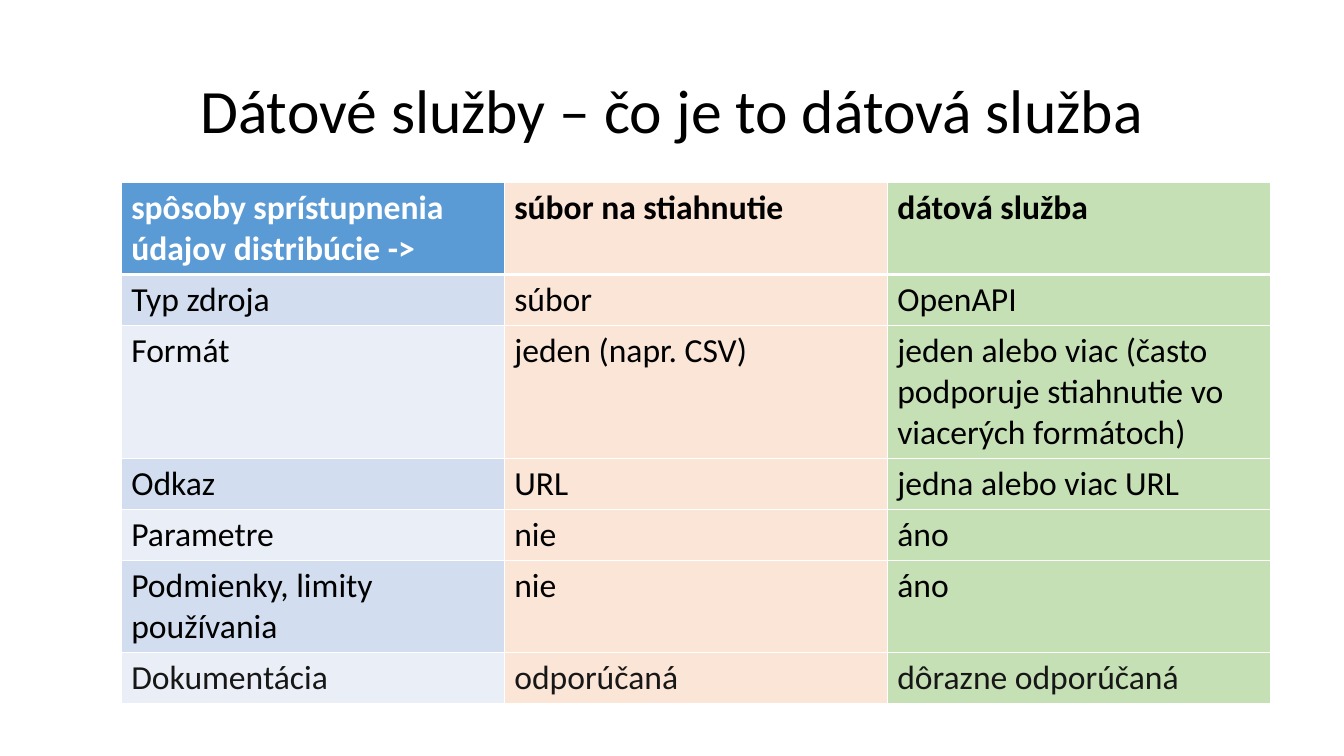
from dataclasses import dataclass

from lxml.etree import SubElement
from pptx import Presentation
from pptx.dml.color import RGBColor
from pptx.enum.text import MSO_ANCHOR, PP_ALIGN
from pptx.oxml.ns import qn
from pptx.util import Pt


@dataclass(frozen=True)
class Theme:
    font: str = "Calibri"
    title_size: int = 44
    table_size: int = 24
    line_height: float = 29.25
    cell_padding: float = 7.2
    text: str = "000000"
    soft_text: str = "181717"
    white: str = "FFFFFF"
    header: str = "5B9BD5"
    bands: tuple = ("D2DEEF", "EAEFF7")
    file_column: str = "FBE5D6"
    service_column: str = "C5E0B4"


class SlideBuilder:
    """Draws styled elements on the current slide."""

    def __init__(self, presentation, theme):
        self.theme = theme
        self.slide = presentation.slides.add_slide(presentation.slide_layouts[6])

    def style(self, paragraph, size, color, bold=False):
        font = paragraph.font
        font.name = self.theme.font
        font.size = Pt(size)
        font.bold = bold
        font.color.rgb = RGBColor.from_string(color)

    def title(self, text, left, top, width, height):
        box = self.slide.shapes.add_textbox(Pt(left), Pt(top), Pt(width), Pt(height))
        frame = box.text_frame
        frame.word_wrap = True
        frame.vertical_anchor = MSO_ANCHOR.MIDDLE
        paragraph = frame.paragraphs[0]
        paragraph.text = text
        paragraph.alignment = PP_ALIGN.CENTER
        paragraph.line_spacing = 0.9
        self.style(paragraph, self.theme.title_size, self.theme.text)

    def border(self, cell, side, width):
        properties = cell._tc.get_or_add_tcPr()
        line = SubElement(properties, qn(f"a:ln{side}"), w=str(Pt(width)))
        fill = SubElement(line, qn("a:solidFill"))
        SubElement(fill, qn("a:srgbClr"), val=self.theme.white)

    def cell(self, cell, text, fill, color, is_header, below_header):
        widths = {"L": 1, "R": 1, "T": 3 if below_header else 1, "B": 3 if is_header else 1}
        for side, width in widths.items():
            self.border(cell, side, width)
        cell.fill.solid()
        cell.fill.fore_color.rgb = RGBColor.from_string(fill)
        paragraph = cell.text_frame.paragraphs[0]
        paragraph.text = text
        self.style(paragraph, self.theme.table_size, color, is_header)

    def table(self, rows, line_counts, left, top, width):
        theme = self.theme
        heights = [theme.cell_padding + theme.line_height * count for count in line_counts]
        table = self.slide.shapes.add_table(
            len(rows), len(rows[0]), Pt(left), Pt(top), Pt(width), Pt(sum(heights))
        ).table
        for column in table.columns:
            column.width = Pt(width / len(rows[0]))
        for row_index, (texts, height) in enumerate(zip(rows, heights)):
            table.rows[row_index].height = Pt(height)
            is_header = row_index == 0
            label_fill = theme.header if is_header else theme.bands[(row_index - 1) % 2]
            fills = (label_fill, theme.file_column, theme.service_column)
            color = theme.soft_text if row_index == len(rows) - 1 else theme.text
            for column_index, (text, fill) in enumerate(zip(texts, fills)):
                cell_color = theme.white if is_header and column_index == 0 else color
                self.cell(table.cell(row_index, column_index), text, fill, cell_color,
                          is_header, row_index == 1)


ACCESS_METHODS = (
    ("spôsoby sprístupnenia údajov distribúcie ->", "súbor na stiahnutie", "dátová služba"),
    ("Typ zdroja", "súbor", "OpenAPI"),
    ("Formát", "jeden (napr. CSV)",
     "jeden alebo viac (často podporuje stiahnutie vo viacerých formátoch)"),
    ("Odkaz", "URL", "jedna alebo viac URL"),
    ("Parametre", "nie", "áno"),
    ("Podmienky, limity používania", "nie", "áno"),
    ("Dokumentácia", "odporúčaná", "dôrazne odporúčaná"),
)
LINE_COUNTS = (2, 1, 3, 1, 1, 2, 1)


def main():
    presentation = Presentation()
    presentation.slide_width = Pt(960)
    presentation.slide_height = Pt(540)
    builder = SlideBuilder(presentation, Theme())
    builder.title("Dátové služby – čo je to dátová služba", 66, 28.8, 828, 104.4)
    builder.table(ACCESS_METHODS, LINE_COUNTS, 86.6, 130.4, 820.8)
    presentation.save("out.pptx")


if __name__ == "__main__":
    main()
